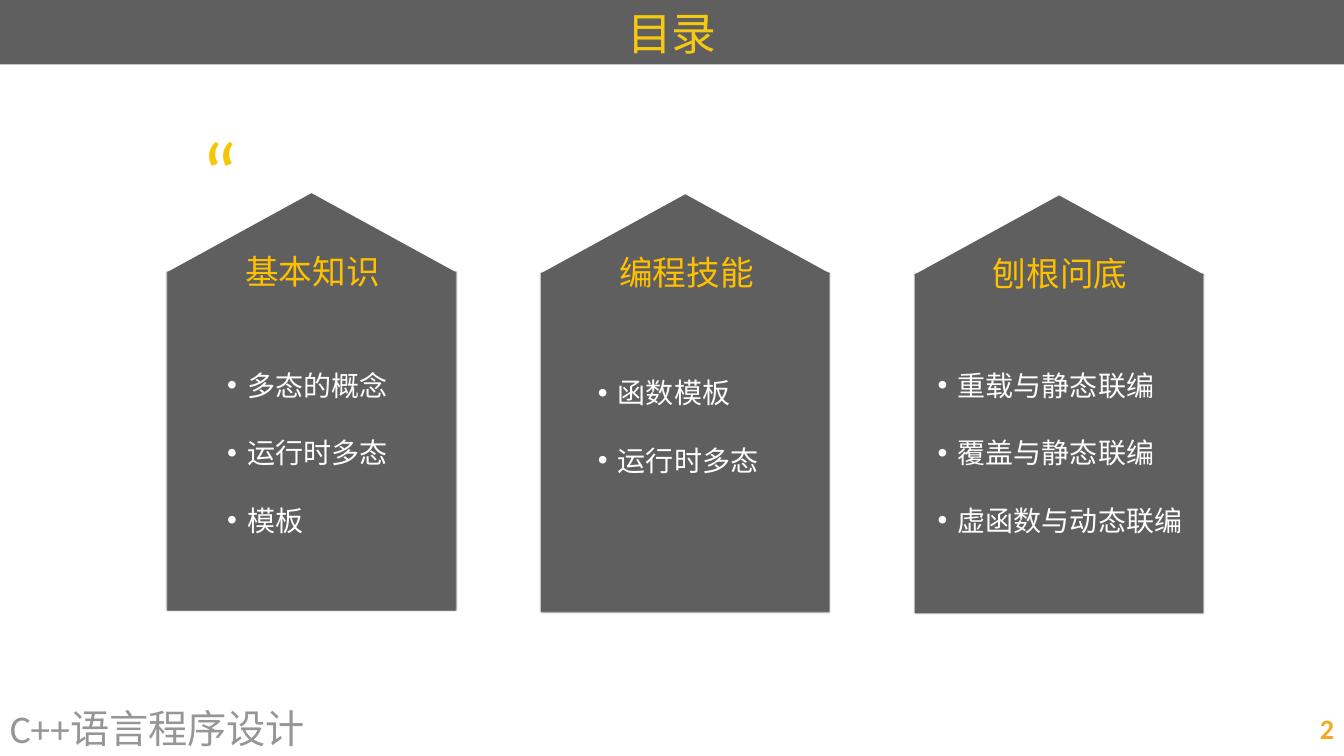
from lxml import etree
from pptx import Presentation
from pptx.dml.color import RGBColor
from pptx.enum.shapes import MSO_SHAPE as Preset
from pptx.enum.text import MSO_ANCHOR as Anchor, PP_ALIGN as Align
from pptx.oxml.ns import qn
from pptx.util import Pt

COLORS = {
    "panel": "5F5F5F",
    "title": "F6C813",
    "quote": "F6C700",
    "heading": "FFC000",
    "item": "FFFFFF",
    "footer": "969696",
    "number": "F8A720",
    "shadow": "000000",
}
LATIN, CHINESE = "Calibri", "Noto Sans CJK SC"
TIGHT = 4.5


class SlideBuilder:
    def __init__(self, deck):
        self.page = deck.slides.add_slide(deck.slide_layouts[6])

    def fill(self, shape, color):
        shape.shadow.inherit = False
        shape.fill.solid()
        shape.fill.fore_color.rgb = RGBColor.from_string(COLORS[color])
        shape.line.fill.background()

    def style(self, para, size, color, name=LATIN, bold=False):
        font = para.font
        font.size, font.name, font.bold = Pt(size), name, bold
        font.color.rgb = RGBColor.from_string(COLORS[color])
        defaults = para._p.pPr.find(qn("a:defRPr"))
        latin = defaults.find(qn("a:latin"))
        east_asian = etree.Element(qn("a:ea"), typeface=CHINESE)
        latin.addnext(east_asian)

    def rect(self, left, top, width, height, color="panel"):
        box = self.page.shapes.add_shape(
            Preset.RECTANGLE, Pt(left), Pt(top), Pt(width), Pt(height))
        self.fill(box, color)
        return box

    def soft_shadow(self, shape):
        effects = shape._element.spPr.find(qn("a:effectLst"))
        shadow = etree.SubElement(effects, qn("a:outerShdw"), blurRad=str(Pt(1)),
                                  dist="0", dir="5400000")
        tint = etree.SubElement(shadow, qn("a:srgbClr"), val=COLORS["shadow"])
        etree.SubElement(tint, qn("a:alpha"), val="50000")

    def roof(self, left, top, width, height):
        builder = self.page.shapes.build_freeform(Pt(left + width / 2), Pt(top))
        builder.add_line_segments([
            (Pt(left + width), Pt(top + height)),
            (Pt(left), Pt(top + height)),
        ])
        self.fill(builder.convert_to_shape(), "panel")

    def frame(self, left, top, width, height, inset=None, anchor=Anchor.MIDDLE):
        box = self.page.shapes.add_textbox(Pt(left), Pt(top), Pt(width), Pt(height))
        frame = box.text_frame
        frame.word_wrap, frame.vertical_anchor = True, anchor
        if inset is not None:
            frame.margin_left = frame.margin_right = Pt(inset)
            frame.margin_top = frame.margin_bottom = Pt(inset)
        return frame

    def label(self, frame, text, size, color, name=LATIN, align=Align.LEFT, bold=False):
        para = frame.paragraphs[0]
        para.add_run().text = text
        para.alignment = align
        self.style(para, size, color, name, bold)
        return para

    def bullets(self, frame, items):
        for index, item in enumerate(items):
            para = frame.add_paragraph() if index else frame.paragraphs[0]
            para.add_run().text = item
            para.line_spacing = Pt(24)
            if index:
                para.space_before = Pt(24)
            props = para._p.get_or_add_pPr()
            props.set("marL", str(Pt(14.4)))
            props.set("indent", str(-Pt(14.4)))
            etree.SubElement(props, qn("a:buFont"), typeface="Arial")
            etree.SubElement(props, qn("a:buChar"), char="•")
            self.style(para, 20, "item", CHINESE)

    def panel(self, left, top, heading, items, list_box):
        body = self.rect(left + 0.5, top + 56.2, 206, 242)
        self.soft_shadow(body)
        self.roof(left, top, 207, 56.7)
        self.bullets(self.frame(*list_box, TIGHT), items)
        self.label(self.frame(left + 51.8, top + 36.7, 114, 37.5, TIGHT),
                   heading, 24, "heading", CHINESE)


def main():
    deck = Presentation()
    deck.slide_width, deck.slide_height = Pt(960), Pt(540)
    slide = SlideBuilder(deck)

    banner = slide.rect(0, 0, 960, 46)
    banner.text_frame.vertical_anchor = Anchor.MIDDLE
    slide.label(banner.text_frame, "目录", 32, "title", align=Align.CENTER)
    slide.label(slide.frame(0, 500.4, 632, 39.6), "C++语言程序设计", 28, "footer")
    slide.label(slide.frame(688, 500.4, 272, 39.6), "2", 20, "number",
                align=Align.RIGHT, bold=True)

    panels = [
        ("基本知识", ["多态的概念", "运行时多态", "模板"], (157.7, 258.5, 165, 129.6)),
        ("编程技能", ["函数模板", "运行时多态"], (422.5, 264.2, 170, 80.6)),
        ("刨根问底", ["重载与静态联编", "覆盖与静态联编", "虚函数与动态联编"],
         (665.3, 258.5, 186, 129.6)),
    ]
    for index, (heading, items, list_box) in enumerate(panels):
        slide.panel(119 + 267 * index, 138 + 0.8 * index, heading, items, list_box)

    quote = slide.label(slide.frame(139.7, 127.4, 59, 36.7, TIGHT, Anchor.BOTTOM),
                        "“", 62.5, "quote")
    quote.line_spacing = Pt(40)
    deck.save("out.pptx")


if __name__ == "__main__":
    main()
